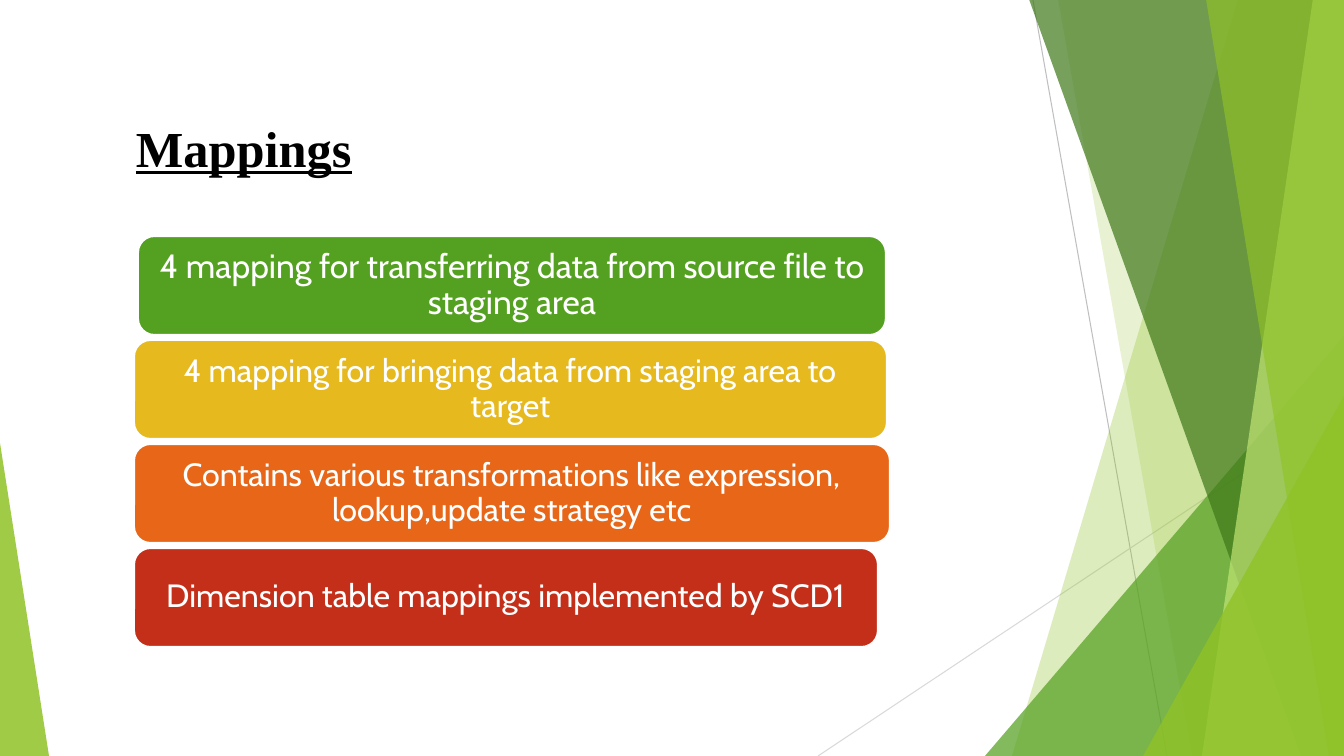
import pptx
import pptx.util
import pptx.dml.color
import pptx.enum.shapes
import pptx.enum.text
import pptx.oxml.ns
import lxml.etree
from dataclasses import dataclass

SLIDE_W, SLIDE_H = 1344, 756
EMU_PER_PX = 12192000 / SLIDE_W


@dataclass(frozen=True)
class Theme:
    lime: str = "90C226"
    green: str = "54A021"
    forest: str = "3F7819"
    pale: str = "C0E474"
    gold: str = "E6B91E"
    orange: str = "E76618"
    red: str = "C42F1A"
    white: str = "FFFFFF"
    black: str = "000000"
    ray_dark: str = "BFBFBF"
    ray_light: str = "D9D9D9"
    title_font: str = "Times New Roman"
    body_font: str = "Cabin"
    title_size: int = 36
    lead_size: int = 24
    body_size: int = 23
    ray_width: float = 0.75
    outline_width: float = 1.5


THEME = Theme()

HEADING = "Mappings"
HEADING_BOX = (126, 109, 1092, 76)

MAPPINGS = [
    ("4 mapping for transferring data from source file to staging area",
     THEME.green, THEME.lead_size, 138, 748),
    ("4 mapping for bringing data from staging area to target",
     THEME.gold, THEME.body_size, 134, 753),
    ("Contains various transformations like expression, lookup,update strategy etc",
     THEME.orange, THEME.body_size, 134, 756),
    ("Dimension table mappings implemented by SCD1",
     THEME.red, THEME.body_size, 134, 744),
]
BAR_TOP, BAR_PITCH, BAR_HEIGHT = 236, 104, 99
BAR_INSET_X, BAR_INSET_Y = 15, 10

RAYS = [
    (1033, 0, 1167, 756, THEME.ray_dark),
    (1344, 406, 818, 756, THEME.ray_light),
]

FACETS = [
    ("band", (1238, 1012), THEME.lime, 30),
    ("band", (1058, 1192), THEME.lime, 20),
    ("wedge", (985, 336, 359, 1), THEME.green, 72),
    ("band", (1029, 1301), THEME.forest, 70),
    ("band", (1313, 1202), THEME.pale, 70),
    ("band", (1206, 1329), THEME.lime, 65),
    ("wedge", (1143, 396, 201, 1), THEME.lime, 80),
    ("wedge", (0, 443, 49, 0), THEME.lime, 85),
]


def px(length):
    return pptx.util.Emu(round(length * EMU_PER_PX))


def rgb(color):
    return pptx.dml.color.RGBColor.from_string(color)


def paint(shape, color, opacity=100):
    shape.shadow.inherit = False
    shape.fill.solid()
    shape.fill.fore_color.rgb = rgb(color)
    if opacity < 100:
        tint = shape.fill._xPr.find(".//" + pptx.oxml.ns.qn("a:srgbClr"))
        lxml.etree.SubElement(tint, pptx.oxml.ns.qn("a:alpha"), val=str(opacity * 1000))


def write(shape, text, font, size, color):
    frame = shape.text_frame
    frame.text = text
    frame.word_wrap = True
    frame.vertical_anchor = pptx.enum.text.MSO_ANCHOR.MIDDLE
    paragraph = frame.paragraphs[0]
    style = paragraph.runs[0].font
    style.name = font
    style.size = pptx.util.Pt(size)
    style.color.rgb = rgb(color)
    return paragraph


def add_ray(shapes, x1, y1, x2, y2, color):
    ray = shapes.add_connector(
        pptx.enum.shapes.MSO_CONNECTOR.STRAIGHT, px(x1), px(y1), px(x2), px(y2))
    ray.line.color.rgb = rgb(color)
    ray.line.width = pptx.util.Pt(THEME.ray_width)
    lxml.etree.SubElement(ray._element.spPr, pptx.oxml.ns.qn("a:effectLst"))


def add_band(shapes, top_x, bottom_x):
    outline = shapes.build_freeform(px(top_x), px(-1))
    corners = [(SLIDE_W, -1), (SLIDE_W, SLIDE_H), (bottom_x, SLIDE_H)]
    outline.add_line_segments([(px(x), px(y)) for x, y in corners], close=True)
    return outline.convert_to_shape()


def add_wedge(shapes, left, top, width, apex):
    wedge = shapes.add_shape(
        pptx.enum.shapes.MSO_SHAPE.ISOSCELES_TRIANGLE,
        px(left), px(top), px(width), px(SLIDE_H - top))
    wedge.adjustments[0] = apex
    return wedge


def add_facet(shapes, kind, geometry, color, opacity):
    build = {"band": add_band, "wedge": add_wedge}[kind]
    facet = build(shapes, *geometry)
    paint(facet, color, opacity)
    facet.line.fill.background()


def add_mapping(shapes, row, text, color, size, left, width):
    bar = shapes.add_shape(
        pptx.enum.shapes.MSO_SHAPE.ROUNDED_RECTANGLE,
        px(left), px(BAR_TOP + row * BAR_PITCH), px(width), px(BAR_HEIGHT))
    paint(bar, color)
    bar.line.color.rgb = rgb(THEME.white)
    bar.line.width = pptx.util.Pt(THEME.outline_width)
    frame = bar.text_frame
    frame.margin_left = frame.margin_right = px(BAR_INSET_X)
    frame.margin_top = frame.margin_bottom = px(BAR_INSET_Y)
    paragraph = write(bar, text, THEME.body_font, size, THEME.white)
    paragraph.alignment = pptx.enum.text.PP_ALIGN.CENTER
    paragraph.line_spacing = 0.9


def main():
    deck = pptx.Presentation()
    deck.slide_width, deck.slide_height = px(SLIDE_W), px(SLIDE_H)
    shapes = deck.slides.add_slide(deck.slide_layouts[6]).shapes

    for ray in RAYS:
        add_ray(shapes, *ray)
    for facet in FACETS:
        add_facet(shapes, *facet)

    heading = shapes.add_textbox(*map(px, HEADING_BOX))
    line = write(heading, HEADING, THEME.title_font, THEME.title_size, THEME.black)
    line.runs[0].font.bold = True
    line.runs[0].font.underline = True

    for row, mapping in enumerate(MAPPINGS):
        add_mapping(shapes, row, *mapping)

    deck.save("out.pptx")


if __name__ == "__main__":
    main()
